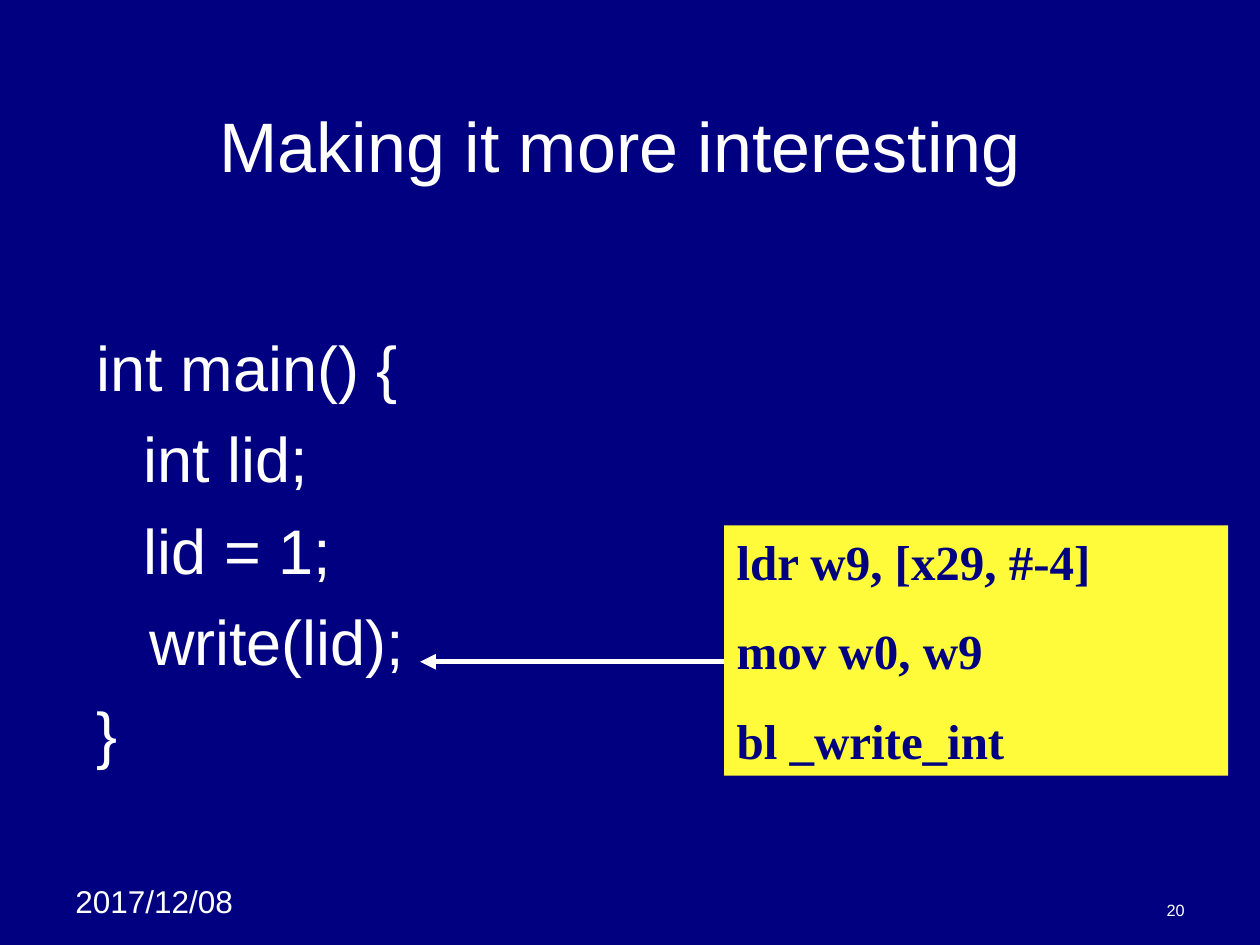
from dataclasses import dataclass

from lxml.etree import SubElement
from pptx import Presentation
from pptx.dml.color import RGBColor
from pptx.enum.shapes import MSO_CONNECTOR, MSO_SHAPE
from pptx.enum.text import MSO_ANCHOR, PP_ALIGN
from pptx.oxml.ns import qn
from pptx.util import Cm, Pt


@dataclass(frozen=True)
class Theme:
    background: RGBColor = RGBColor(0x00, 0x00, 0x80)
    text: RGBColor = RGBColor(0xFF, 0xFF, 0xFF)
    panel: RGBColor = RGBColor(0xFF, 0xFB, 0x3B)
    body_font: str = "Arial"
    assembly_font: str = "Times New Roman"
    title_size: float = 40
    code_size: float = 36
    assembly_size: float = 28
    date_size: float = 18
    number_size: float = 9.3


THEME = Theme()


def add_box(slide, left, top, width, height):
    return slide.shapes.add_textbox(Cm(left), Cm(top), Cm(width), Cm(height))


def write_lines(shape, lines, size, space_before=0, align=PP_ALIGN.LEFT,
                anchor=MSO_ANCHOR.TOP, font_name=THEME.body_font,
                color=THEME.text, bold=False):
    """Fill a shape with one paragraph per line."""
    text_frame = shape.text_frame
    text_frame.word_wrap = True
    text_frame.vertical_anchor = anchor
    text_frame.text = "\n".join(lines)
    for index, paragraph in enumerate(text_frame.paragraphs):
        paragraph.alignment = align
        if index:
            paragraph.space_before = Pt(space_before)
        for run in paragraph.runs:
            run.font.name = font_name
            run.font.size = Pt(size)
            run.font.bold = bold
            run.font.color.rgb = color


def add_title(slide, left, top, width, height):
    write_lines(add_box(slide, left, top, width, height),
                ["Making it more interesting"], THEME.title_size,
                align=PP_ALIGN.CENTER, anchor=MSO_ANCHOR.MIDDLE)


def add_source_code(slide, left, top, width, height):
    shape = add_box(slide, left, top, width, height)
    lines = ["int main() {", "\tint lid;", "\tlid = 1;", "   write(lid);", "}"]
    write_lines(shape, lines, THEME.code_size, space_before=9)
    # The hanging indent is where the tabs stop
    indent = Cm(0.95)
    for paragraph in shape.text_frame.paragraphs:
        properties = paragraph._p.get_or_add_pPr()
        properties.set("marL", str(indent))
        properties.set("indent", str(-indent))


def add_assembly(slide, left, top, width, height, arrow_length, arrow_drop):
    # Yellow panel with the generated instructions
    panel = slide.shapes.add_shape(MSO_SHAPE.RECTANGLE, Cm(left), Cm(top),
                                   Cm(width), Cm(height))
    panel.shadow.inherit = False
    panel.fill.solid()
    panel.fill.fore_color.rgb = THEME.panel
    panel.line.fill.background()
    lines = ["ldr w9, [x29, #-4]", "mov w0, w9", "bl _write_int"]
    write_lines(panel, lines, THEME.assembly_size, space_before=17.5,
                font_name=THEME.assembly_font, color=THEME.background, bold=True)

    # Arrow from the panel to the statement it implements
    arrow_y = Cm(top + arrow_drop)
    arrow = slide.shapes.add_connector(MSO_CONNECTOR.STRAIGHT, Cm(left), arrow_y,
                                       Cm(left - arrow_length), arrow_y)
    arrow.line.color.rgb = THEME.text
    arrow.line.width = Pt(3)
    SubElement(arrow.line._get_or_add_ln(), qn("a:tailEnd"), type="triangle")
    SubElement(arrow._element.spPr, qn("a:effectLst"))


def add_footer(slide, left, top, width, height):
    date_width, number_width, number_height = 4.01, 5.92, 0.69
    write_lines(add_box(slide, left, top, date_width, height),
                ["2017/12/08"], THEME.date_size)
    write_lines(add_box(slide, left + width - number_width, top + 0.33,
                        number_width, number_height),
                ["20"], THEME.number_size, align=PP_ALIGN.RIGHT,
                anchor=MSO_ANCHOR.BOTTOM)


def main():
    presentation = Presentation()
    presentation.slide_width = Cm(25.4)
    presentation.slide_height = Cm(19.05)
    slide = presentation.slides.add_slide(presentation.slide_layouts[6])
    slide.background.fill.solid()
    slide.background.fill.fore_color.rgb = THEME.background

    add_footer(slide, 1.27, 17.65, 22.86, 1.4)
    add_title(slide, 1.07, 1.33, 22.86, 3.18)
    add_source_code(slide, 1.7, 6.5, 21.59, 10.85)
    add_assembly(slide, 14.6, 10.59, 10.16, 5.05, arrow_length=6.13, arrow_drop=2.75)
    presentation.save("out.pptx")


if __name__ == "__main__":
    main()
